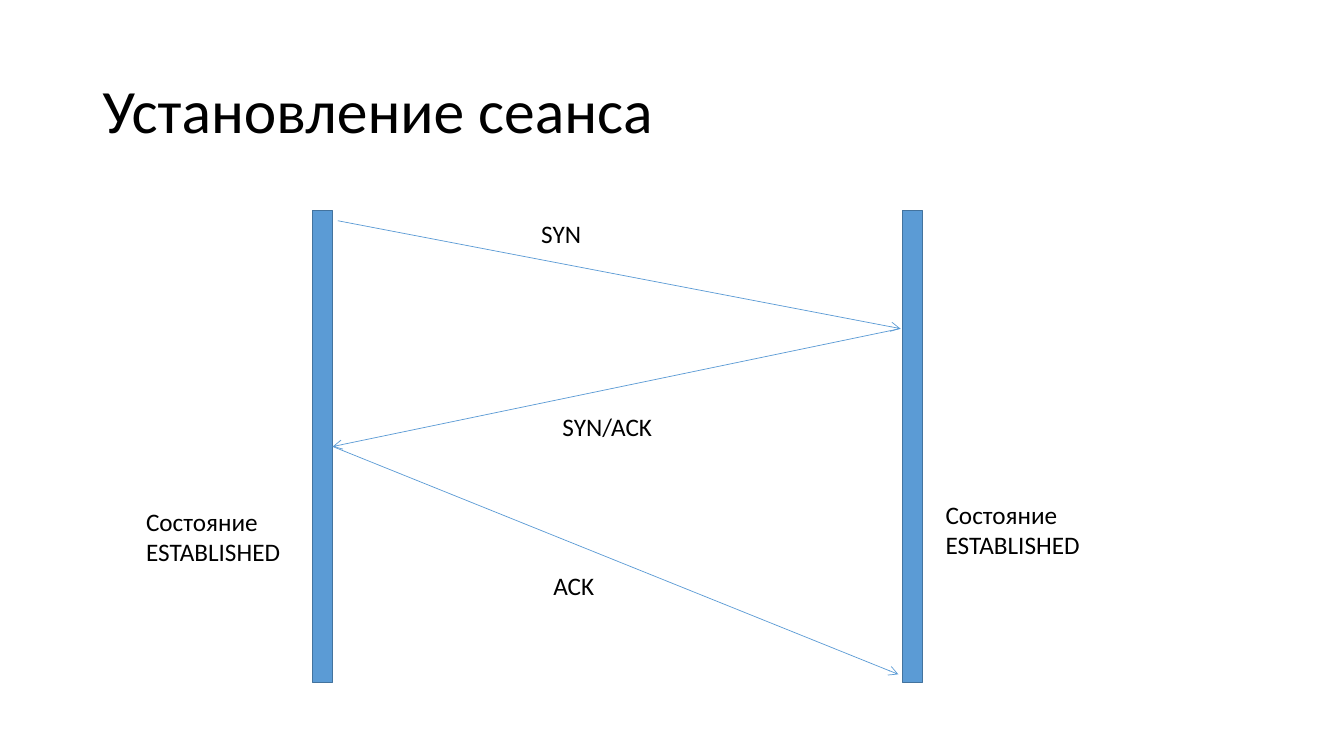
import pptx
import pptx.dml.color
import pptx.enum.shapes
import pptx.enum.text
import pptx.oxml
import pptx.oxml.ns
import pptx.util

PX = 9144
SLIDE_SIZE = (1333, 750)
COLORS = {"text": "000000", "bar": "5B9BD5", "bar_edge": "43739E", "arrow": "5B9BD5"}


def px(length):
    """Turn px into EMU."""
    return pptx.util.Emu(length * PX)


def rgb(name):
    """Look up a palette colour."""
    return pptx.dml.color.RGBColor.from_string(COLORS[name])


def add_text(slide, text, box, size=18, wrap=False, grow=True, anchor="TOP", spacing=None):
    """Place text in a box, one paragraph per line."""
    label = slide.shapes.add_textbox(*map(px, box))
    frame = label.text_frame
    frame.text = text
    frame.word_wrap = wrap
    fit = pptx.enum.text.MSO_AUTO_SIZE
    frame.auto_size = fit.SHAPE_TO_FIT_TEXT if grow else fit.NONE
    frame.vertical_anchor = pptx.enum.text.MSO_ANCHOR[anchor]
    for paragraph in frame.paragraphs:
        paragraph.line_spacing = spacing
        for run in paragraph.runs:
            run.font.name = "Calibri"
            run.font.size = pptx.util.Pt(size)
            run.font.color.rgb = rgb("text")


def add_bar(slide, box):
    """Draw the timeline bar of one host."""
    bar = slide.shapes.add_shape(pptx.enum.shapes.MSO_SHAPE.RECTANGLE, *map(px, box))
    bar.shadow.inherit = False
    bar.fill.solid()
    bar.fill.fore_color.rgb = rgb("bar")
    bar.line.color.rgb = rgb("bar_edge")
    bar.line.width = pptx.util.Pt(1)
    return bar


def add_arrow(slide, start, end):
    """Draw a message arrow between two points."""
    arrow = slide.shapes.add_connector(
        pptx.enum.shapes.MSO_CONNECTOR.STRAIGHT, *map(px, start + end))
    arrow.line.color.rgb = rgb("arrow")
    arrow.line.width = pptx.util.Pt(0.5)
    properties = arrow._element.spPr
    head = pptx.oxml.parse_xml(
        f'<a:tailEnd {pptx.oxml.ns.nsdecls("a")} type="arrow"/>')
    properties.find(pptx.oxml.ns.qn("a:ln")).append(head)
    properties.append(pptx.oxml.parse_xml(
        f'<a:effectLst {pptx.oxml.ns.nsdecls("a")}/>'))
    return arrow


def add_handshake(slide, left, top, width, height):
    """Draw both hosts, the three messages and the final states."""
    bar_width = 20
    client = add_bar(slide, (left, top, bar_width, height))
    add_bar(slide, (left + width - bar_width, top, bar_width, height))

    client_middle = (left + bar_width, top + height // 2)
    server_reply = (left + width - bar_width - 2, top + 117)
    add_arrow(slide, (left + bar_width + 5, top + 10), server_reply)
    syn_ack = add_arrow(slide, server_reply, client_middle)
    syn_ack.end_connect(client, 3)
    ack = add_arrow(slide, client_middle, (left + width - bar_width - 4, top + height - 8))
    ack.begin_connect(client, 3)

    messages = [("SYN", 217, 3, 64, False), ("SYN/ACK", 238, 194, 238, True),
                ("ACK", 229, 352, 64, False)]
    for message, x, y, label_width, wrap in messages:
        add_text(slide, message, (left + x, top + y, label_width, 40), wrap=wrap)
    for x, y in [(-175, 288), (width + 13, 281)]:
        add_text(slide, "Состояние\nESTABLISHED", (left + x, top + y, 155, 71))


def main():
    """Build and save the slide."""
    deck = pptx.Presentation()
    deck.slide_width, deck.slide_height = map(px, SLIDE_SIZE)
    slide = deck.slides.add_slide(deck.slide_layouts[6])
    add_text(slide, "Установление сеанса", (92, 40, 1150, 145), size=44,
             wrap=True, grow=False, anchor="MIDDLE", spacing=0.9)
    add_handshake(slide, 310, 209, 605, 468)
    deck.save("out.pptx")


if __name__ == "__main__":
    main()
